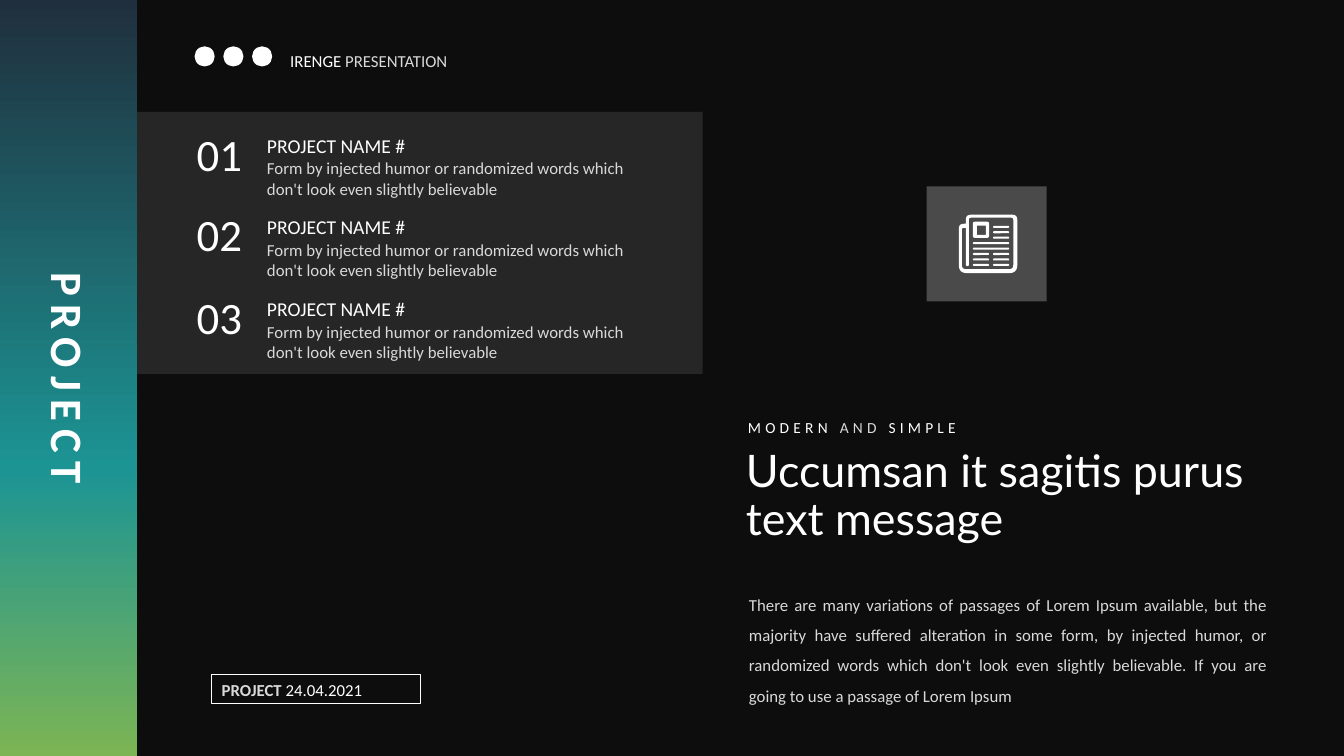
from lxml.etree import SubElement
from pptx import Presentation
from pptx.dml.color import RGBColor
from pptx.enum.shapes import MSO_SHAPE
from pptx.enum.text import MSO_ANCHOR, MSO_AUTO_SIZE, PP_ALIGN
from pptx.oxml.ns import qn
from pptx.util import Inches, Pt

COLORS = {"back": "0D0D0D", "panel": "262626", "white": "FFFFFF", "grey": "D9D9D9",
          "navy": "202F3D", "teal": "1C9494", "green": "7CB554"}
BODY_INSETS = (0.1, 0.05, 0.16, 0.04)
CORNER_STEPS = 5


def rgb(name):
    return RGBColor.from_string(COLORS[name])


def style_shape(sp, fill=None, line=None):
    sp.shadow.inherit = False
    if fill:
        sp.fill.solid()
        sp.fill.fore_color.rgb = rgb(fill)
    else:
        sp.fill.background()
    if line:
        sp.line.color.rgb = rgb(line)
        sp.line.width = Pt(0.75)
    else:
        sp.line.fill.background()
    return sp


def add_block(s, kind, box, fill=None, line=None):
    return style_shape(s.shapes.add_shape(kind, *map(Inches, box)), fill, line)


def write(sp, runs, size, font="Calibri", bold=False, spacing=0,
          insets=(0.1, 0.05, 0.1, 0.05), **paragraph_format):
    tf = sp.text_frame
    left, top, right, bottom = map(Inches, insets)
    frame_format = {"word_wrap": True, "auto_size": MSO_AUTO_SIZE.SHAPE_TO_FIT_TEXT,
                    "vertical_anchor": MSO_ANCHOR.TOP, "margin_left": left,
                    "margin_top": top, "margin_right": right, "margin_bottom": bottom}
    for key, value in frame_format.items():
        setattr(tf, key, value)
    p = tf.paragraphs[0]
    for key, value in ({"alignment": PP_ALIGN.LEFT} | paragraph_format).items():
        setattr(p, key, value)
    for text, color in runs:
        r = p.add_run()
        r.text = text
        for key, value in {"size": Pt(size), "name": font, "bold": bold}.items():
            setattr(r.font, key, value)
        r.font.color.rgb = rgb(color)
        if spacing:
            r.font._element.set("spc", str(spacing * 100))
    return p


def add_text(s, box, runs, size, **options):
    sp = s.shapes.add_textbox(*map(Inches, box))
    write(sp, runs, size, **options)
    return sp


def round_corners(corners):
    points = []
    for i, (x, y, radius) in enumerate(corners):
        ends = []
        for nx, ny, _ in (corners[i - 1], corners[(i + 1) % len(corners)]):
            length = abs(nx - x) + abs(ny - y)
            ends.append((x + radius * (nx - x) / length, y + radius * (ny - y) / length))
        (ax, ay), (bx, by) = ends
        for step in range(CORNER_STEPS + 1):
            t = step / CORNER_STEPS
            a, b, c = (1 - t) ** 2, 2 * t * (1 - t), t ** 2
            points.append((a * ax + b * x + c * bx, a * ay + b * y + c * by))
    return points


def square(x, y, side, radius):
    return [(x, y, radius), (x + side, y, radius),
            (x + side, y + side, radius), (x, y + side, radius)]


def add_outline(s, left, top, contours):
    builder = None
    for corners in contours:
        points = [(Inches(left + x), Inches(top + y)) for x, y in round_corners(corners)]
        if builder is None:
            builder = s.shapes.build_freeform(*points[0])
        else:
            builder.move_to(*points[0])
        builder.add_line_segments(points[1:], close=True)
    style_shape(builder.convert_to_shape(), "white")


def add_sidebar(s, left, top, width, height):
    sp = add_block(s, MSO_SHAPE.RECTANGLE, (left, top, width, height))
    sp.fill.gradient()
    sp.fill.gradient_angle = 270
    stops = sp._element.spPr.find(qn("a:gradFill")).find(qn("a:gsLst"))
    for stop in list(stops):
        stops.remove(stop)
    for position, color in ((0, "navy"), (62, "teal"), (100, "green")):
        stop = SubElement(stops, qn("a:gs"), pos=str(position * 1000))
        SubElement(stop, qn("a:srgbClr"), val=COLORS[color])
    w, h = 7.01, 0.64
    title = add_text(s, (left + (width - w) / 2, top + (height - h) / 2, w, h),
                     [("PROJECT", "white")], 32, bold=True, spacing=6,
                     alignment=PP_ALIGN.CENTER)
    title.rotation = 90


def add_header(s, left, top):
    for i in range(3):
        add_block(s, MSO_SHAPE.OVAL, (left + i * 0.285, top + 0.11, 0.2, 0.2), "white")
    add_text(s, (left + 0.85, top, 2.09, 0.39),
             [("IRENGE", "white"), (" PRESENTATION", "grey")], 12,
             insets=BODY_INSETS, alignment=PP_ALIGN.JUSTIFY, line_spacing=1.5)


def add_project_list(s, left, top, width, height):
    add_block(s, MSO_SHAPE.RECTANGLE, (left, top, width, height), "panel")
    for i, (number, offset) in enumerate((("01", 0.1), ("02", 0.89), ("03", 1.72))):
        y = top + 0.21 + i * 0.81
        add_text(s, (left + 0.27, top + offset, 0.87, 0.64), [(number, "white")], 32,
                 alignment=PP_ALIGN.RIGHT)
        add_text(s, (left + 1.19, y, 2.9, 0.29), [("PROJECT NAME #", "white")], 14,
                 line_spacing=0.8)
        add_text(s, (left + 1.19, y + 0.2, 3.84, 0.49),
                 [("Form by injected humor or randomized words which "
                   "don't look even slightly believable", "grey")], 12, insets=BODY_INSETS)


def add_news_icon(s, left, top, width, height):
    tile = add_block(s, MSO_SHAPE.RECTANGLE, (left, top, width, height), "grey")
    color = tile._element.spPr.find(qn("a:solidFill"))[0]
    SubElement(color, qn("a:alpha"), val="30000")
    x, y = left + 0.32, top + 0.28
    paper = [(0.07, 0, 0.05), (0.58, 0, 0.05), (0.58, 0.58, 0.08),
             (0, 0.58, 0.08), (0, 0.09, 0.05), (0.07, 0.09, 0)]
    inside = [(0.1, 0.03, 0.02), (0.54, 0.03, 0.02), (0.54, 0.54, 0.04),
              (0.03, 0.54, 0.04), (0.03, 0.13, 0.02), (0.07, 0.13, 0),
              (0.07, 0.51, 0.015), (0.1, 0.51, 0.015)]
    add_outline(s, x, y, [paper, inside])
    add_outline(s, x, y, [square(0.14, 0.07, 0.16, 0.02), square(0.18, 0.11, 0.09, 0)])
    short_left, short_right, full = (0.14, 0.16), (0.34, 0.16), (0.14, 0.36)
    rows = [[short_right]] * 3 + [[full]] * 2 + [[short_left, short_right]] * 3
    for i, row in enumerate(rows):
        for dx, w in row:
            line = add_block(s, MSO_SHAPE.ROUNDED_RECTANGLE,
                             (x + dx, y + 0.11 + i * 0.054, w, 0.02), "white")
            line.adjustments[0] = 0.5


def add_message(s, left, top):
    add_text(s, (left + 0.02, top, 2.7, 0.29),
             [("MODERN ", "white"), ("AND", "grey"), (" SIMPLE", "white")], 11, spacing=3)
    add_text(s, (left, top + 0.3, 5.43, 1.07),
             [("Uccumsan it sagitis purus text message", "white")], 32,
             font="Lato", line_spacing=0.9)
    add_text(s, (left + 0.03, top + 1.65, 5.4, 1.3),
             [("There are many variations of passages of Lorem Ipsum available, but the "
               "majority have suffered alteration in some form, by injected humor, or "
               "randomized words which don't look even slightly believable. If you are "
               "going to use a passage of Lorem Ipsum", "grey")], 12,
             insets=BODY_INSETS, alignment=PP_ALIGN.JUSTIFY, line_spacing=1.5)


def add_date(s, left, top, width, height):
    sp = add_block(s, MSO_SHAPE.RECTANGLE, (left, top, width, height), line="white")
    p = write(sp, [("PROJECT ", "grey"), ("24.04.2021", "white")], 12, insets=BODY_INSETS)
    p.runs[0].font.bold = True


def main():
    prs = Presentation()
    prs.slide_width, prs.slide_height = Inches(13.33), Inches(7.5)
    s = prs.slides.add_slide(prs.slide_layouts[6])
    s.background.fill.solid()
    s.background.fill.fore_color.rgb = rgb("back")
    add_project_list(s, 1.36, 1.11, 5.61, 2.6)
    add_sidebar(s, 0, 0, 1.36, 7.5)
    add_news_icon(s, 9.19, 1.85, 1.19, 1.14)
    add_message(s, 7.3, 4.1)
    add_header(s, 1.93, 0.35)
    add_date(s, 2.1, 6.69, 2.07, 0.29)
    prs.save("out.pptx")


if __name__ == "__main__":
    main()
